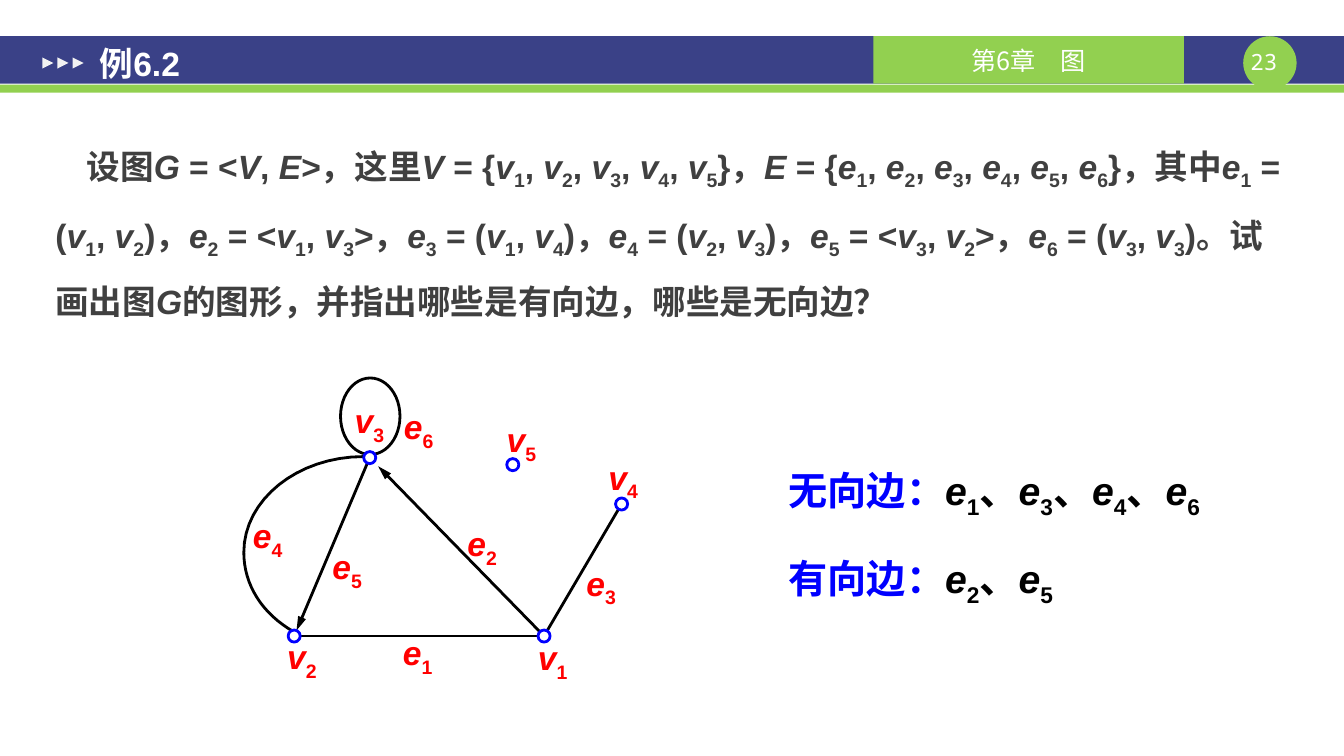
from itertools import groupby
from math import hypot

from lxml import etree
from pptx import Presentation
from pptx.dml.color import RGBColor
from pptx.enum.shapes import MSO_CONNECTOR, MSO_SHAPE
from pptx.enum.text import MSO_ANCHOR, MSO_AUTO_SIZE, PP_ALIGN
from pptx.oxml.ns import qn
from pptx.util import Inches, Pt

RECTANGLE, ELLIPSE = MSO_SHAPE.RECTANGLE, MSO_SHAPE.OVAL
TRIANGLE = MSO_SHAPE.ISOSCELES_TRIANGLE
STRAIGHT = MSO_CONNECTOR.STRAIGHT
LEFT, CENTER = PP_ALIGN.LEFT, PP_ALIGN.CENTER
TOP, MIDDLE = MSO_ANCHOR.TOP, MSO_ANCHOR.MIDDLE
NO_AUTOFIT = MSO_AUTO_SIZE.NONE

# The grid has square cells of a tenth of an inch.
CELL = Inches(0.1)
COLUMNS, ROWS = 133.4, 75


class Theme:
    navy, green, white = "3A4187", "92D050", "FFFFFF"
    marker, body, black = "F2F2F2", "404040", "000000"
    blue, red = "0000FF", "FF0000"
    latin, chinese, mono = "Arial", "Noto Sans CJK SC", "Noto Sans Mono"
    text, answer, chapter, number = 24, 28, 18, 16
    stroke = 2


QUESTION = (
    "设图G = <V, E>，这里V = {v1, v2, v3, v4, v5}，E = {e1, e2, e3, e4, e5, e6}，其中"
    "e1 = (v1, v2)，e2 = <v1, v3>，e3 = (v1, v4)，e4 = (v2, v3)，e5 = <v3, v2>，"
    "e6 = (v3, v3)。试画出图G的图形，并指出哪些是有向边，哪些是无向边？"
)
ANSWERS = [("无向边：", "e1、e3、e4、e6"), ("有向边：", "e2、e5")]

NODES = {"v1": (54, 63.1), "v2": (29.2, 63.1), "v3": (36.7, 45.4),
         "v4": (61.7, 50), "v5": (50.9, 46.1)}
NODE_SIZE = 1.2
# Start, end, gap left before the end node's centre, directed
EDGES = [("v2", "v1", 0.6, False), ("v1", "v4", 0.6, False),
         ("v1", "v3", 1.2, True), ("v3", "v2", 0.6, True)]
E4_CURVES = [((36.1, 45.3), (29.5, 45.3), (24.2, 49.6), (24.2, 54.8)),
             ((24.2, 54.8), (24.2, 58), (26, 60.9), (29.2, 62.7))]
LABELS = {"v1": (53.4, 63.2), "v2": (28.5, 63.1), "v3": (35.2, 39.7),
          "v4": (60.4, 45.3), "v5": (50.3, 41.6),
          "e1": (40, 62.7), "e2": (46.4, 51.9), "e3": (58.2, 55.8),
          "e4": (25.1, 51.1), "e5": (33, 54.2), "e6": (40.1, 40.3)}


def cells(*counts):
    return [round(count * CELL) for count in counts]


def rgb(color):
    return RGBColor.from_string(color)


def style_font(font, size, color, name=Theme.latin, bold=True):
    font.size, font.name, font.bold = Pt(size), name, bold
    font.color.rgb = rgb(color)


def add_filled(slide, kind, area, fill=None, line=None):
    shape = slide.shapes.add_shape(kind, *cells(*area))
    paint(shape, fill, line)
    return shape


def paint(shape, fill, line):
    shape.shadow.inherit = False
    if fill:
        shape.fill.solid()
        shape.fill.fore_color.rgb = rgb(fill)
    else:
        shape.fill.background()
    if line:
        shape.line.color.rgb = rgb(line)
        shape.line.width = Pt(Theme.stroke)
    else:
        shape.line.fill.background()


def set_frame(frame, insets=(0, 0), anchor=TOP):
    """Fix wrapping, anchor and the horizontal and vertical insets."""
    frame.word_wrap, frame.auto_size = True, NO_AUTOFIT
    frame.vertical_anchor = anchor
    across, down = cells(*insets)
    frame.margin_left = frame.margin_right = across
    frame.margin_top = frame.margin_bottom = down
    return frame


def add_text_box(slide, area, insets=(0, 0)):
    box = slide.shapes.add_textbox(*cells(*area))
    return set_frame(box.text_frame, insets)


def place_placeholder(slide, placeholder, area, anchor):
    """Move a placeholder to its area and in front of the header band."""
    slide.shapes.element.append(placeholder.element)
    (placeholder.left, placeholder.top,
     placeholder.width, placeholder.height) = cells(*area)
    return set_frame(placeholder.text_frame, (1.3, 0.7), anchor)


def notation_style(char):
    if char.isascii() and char.isalpha():
        return "symbol"
    return "subscript" if char.isdigit() else "plain"


def write_notation(para, text):
    """Write letters in italics and digits as subscripts."""
    for style, chars in groupby(text, notation_style):
        span = para.add_run()
        span.text = "".join(chars)
        if style == "symbol":
            span.font.italic = True
        elif style == "subscript":
            span._r.get_or_add_rPr().set("baseline", "-25000")


def add_header(slide):
    add_filled(slide, RECTANGLE, (0, 3.6, COLUMNS, 4.7), Theme.navy)
    add_filled(slide, RECTANGLE, (0, 8.4, COLUMNS, 0.8), Theme.green)
    add_filled(slide, ELLIPSE, (123.4, 3.6, 5.3, 5.3), Theme.green)
    number = add_text_box(slide, (122.8, 4.8, 5.3, 2.7)).paragraphs[0]
    number.text, number.alignment = "23", CENTER
    style_font(number.font, Theme.number, Theme.white, Theme.mono, False)

    tab = add_filled(slide, RECTANGLE, (86.7, 3.6, 30.8, 4.7), Theme.green)
    chapter = set_frame(tab.text_frame, (1, 0), MIDDLE).paragraphs[0]
    chapter.text, chapter.alignment = "第6章　图", CENTER
    style_font(chapter.font, Theme.chapter, Theme.white, Theme.chinese, False)

    for index in range(3):
        area = (4.2 + 1.5 * index, 5.7, 1.1, 1.1)
        add_filled(slide, TRIANGLE, area, Theme.marker).rotation = 90

    frame = place_placeholder(slide, slide.shapes.title, (8.6, 1.2, 88.2, 10.1), MIDDLE)
    title = frame.paragraphs[0]
    title.text, title.alignment = "例6.2", LEFT
    style_font(title.font, Theme.text, Theme.white)


def add_question(slide):
    frame = place_placeholder(slide, slide.placeholders[1], (4.2, 11.5, 125, 28.5), TOP)
    para = frame.paragraphs[0]
    properties = para._p.get_or_add_pPr()
    properties.set("marL", "0")
    properties.set("indent", str(cells(3.1)[0]))
    etree.SubElement(properties, qn("a:buNone"))
    para.alignment, para.line_spacing, para.space_before = LEFT, 1.5, Pt(0)
    style_font(para.font, Theme.text, Theme.body)
    write_notation(para, QUESTION)


def add_edge(slide, start, end, gap, directed):
    (x1, y1), (x2, y2) = NODES[start], NODES[end]
    share = 1 - gap / hypot(x2 - x1, y2 - y1)
    tip = (x1 + share * (x2 - x1), y1 + share * (y2 - y1))
    edge = slide.shapes.add_connector(STRAIGHT, *cells(x1, y1, *tip))
    edge.line.color.rgb, edge.line.width = rgb(Theme.black), Pt(Theme.stroke)
    if directed:
        etree.SubElement(edge.line._get_or_add_ln(), qn("a:tailEnd"),
                         type="triangle", w="med", len="lg")
    etree.SubElement(edge.element.spPr, qn("a:effectLst"))


def bezier_point(curve, t):
    weights = ((1 - t) ** 3, 3 * t * (1 - t) ** 2, 3 * t ** 2 * (1 - t), t ** 3)
    return tuple(sum(w * value for w, value in zip(weights, axis)) for axis in zip(*curve))


def add_curved_edge(slide, curves, steps=16):
    points = [cells(*bezier_point(curve, step / steps))
              for curve in curves for step in range(steps + 1)]
    builder = slide.shapes.build_freeform(*points[0])
    builder.add_line_segments(points[1:], close=False)
    paint(builder.convert_to_shape(), None, Theme.black)


def add_graph(slide):
    add_curved_edge(slide, E4_CURVES)
    add_filled(slide, ELLIPSE, (33.8, 37.5, 5.9, 7.6), line=Theme.black)
    for edge in EDGES:
        add_edge(slide, *edge)
    for x, y in NODES.values():
        area = (x - NODE_SIZE / 2, y - NODE_SIZE / 2, NODE_SIZE, NODE_SIZE)
        add_filled(slide, ELLIPSE, area, Theme.white, Theme.blue)
    for name, corner in LABELS.items():
        para = add_text_box(slide, (*corner, 4.7, 4)).paragraphs[0]
        style_font(para.font, Theme.text, Theme.red)
        write_notation(para, name)


def add_answers(slide):
    frame = add_text_box(slide, (77.3, 43.1, 45.2, 25), (1, 0.5))
    for index, (heading, edges) in enumerate(ANSWERS):
        para = frame.add_paragraph() if index else frame.paragraphs[0]
        para.line_spacing = 1.5
        para.space_before = Pt(0.2 * Theme.answer if index else 0)
        style_font(para.font, Theme.answer, Theme.black)
        span = para.add_run()
        span.text = heading
        span.font.color.rgb = rgb(Theme.blue)
        write_notation(para, edges)


def main():
    deck = Presentation()
    deck.slide_width, deck.slide_height = cells(COLUMNS, ROWS)
    slide = deck.slides.add_slide(deck.slide_layouts[1])
    add_header(slide)
    add_question(slide)
    add_graph(slide)
    add_answers(slide)
    deck.save("out.pptx")


if __name__ == "__main__":
    main()
